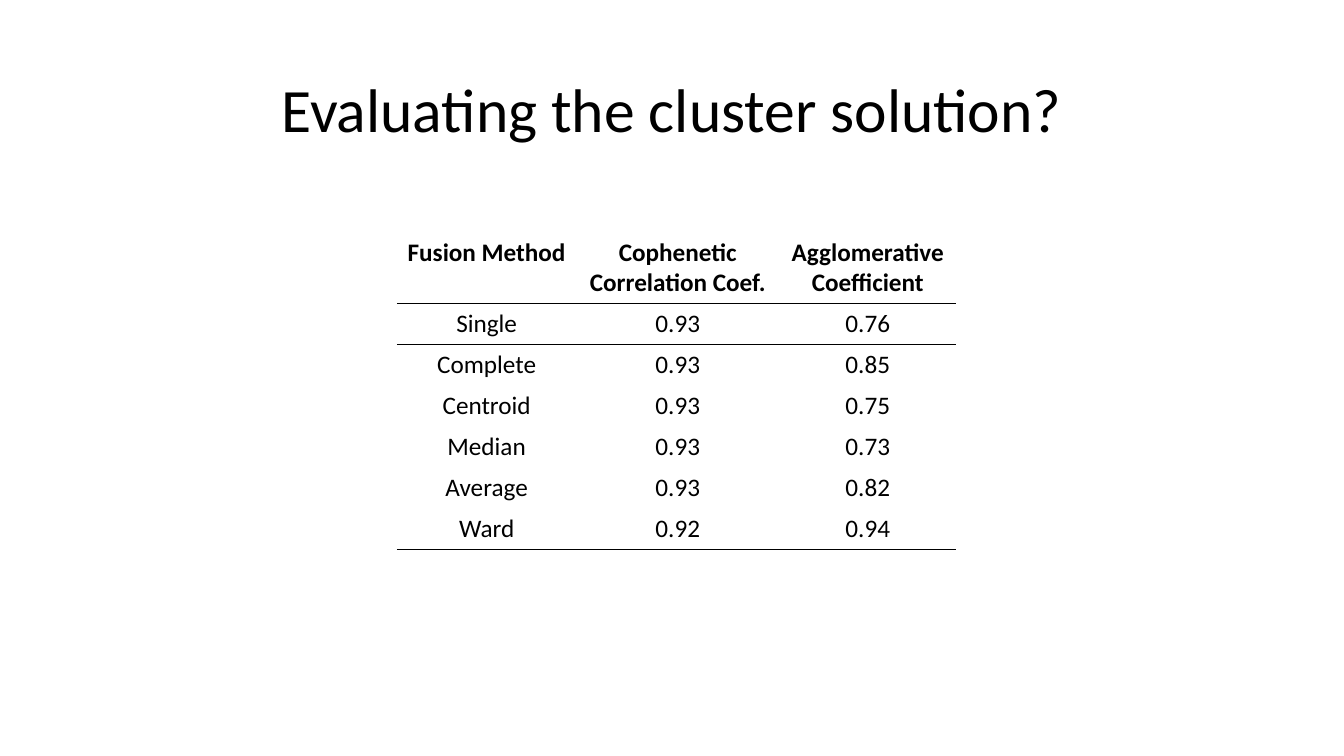
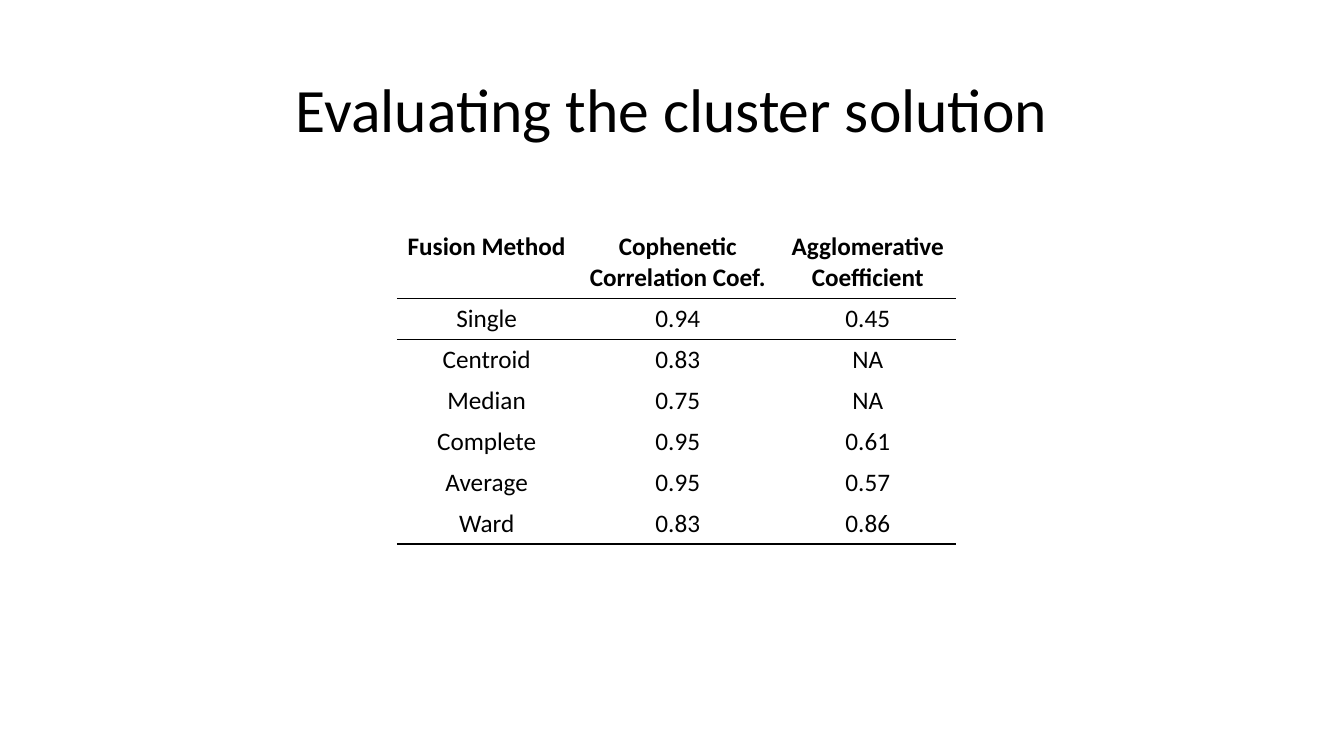
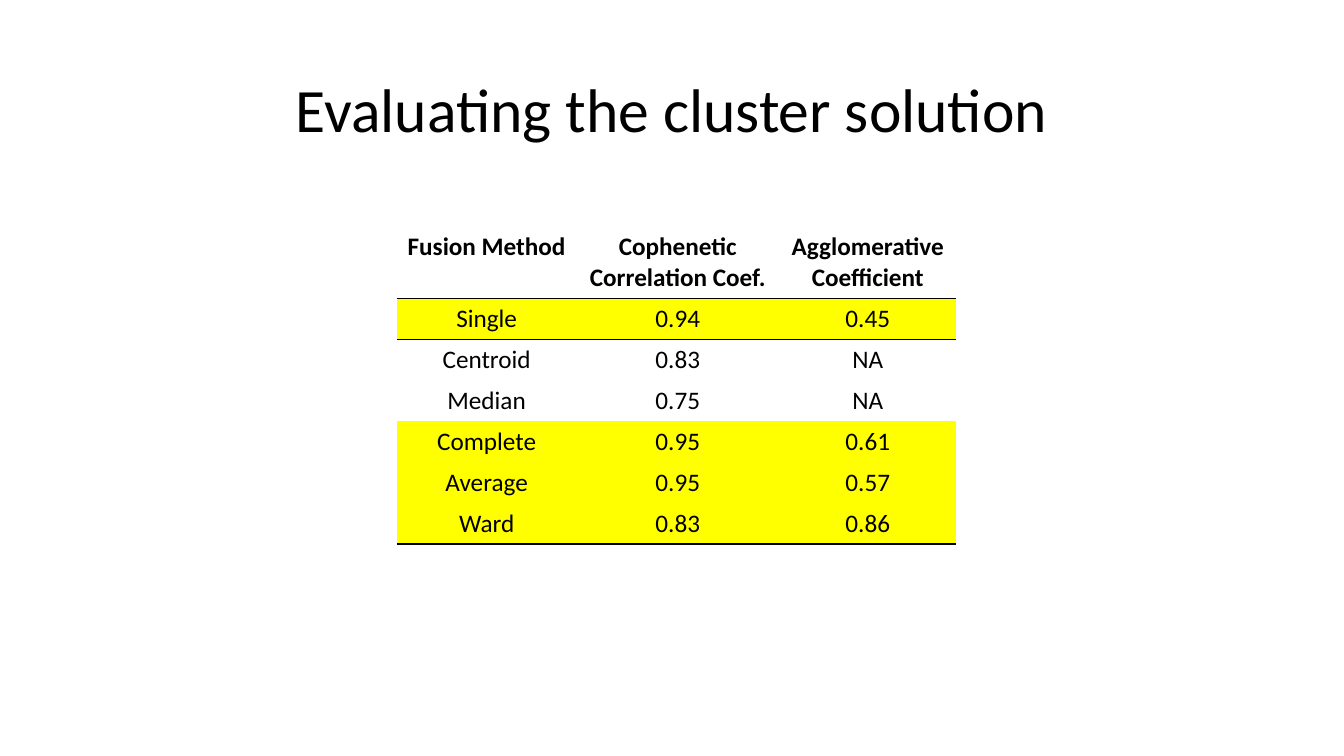
from lxml import etree
from pptx import Presentation
from pptx.dml.color import RGBColor
from pptx.enum.text import MSO_ANCHOR, PP_ALIGN
from pptx.oxml.ns import qn
from pptx.util import Pt

PX = 9525
CENTER = PP_ALIGN.CENTER
MIDDLE = MSO_ANCHOR.MIDDLE
FONT = "Calibri"
COLORS = {"text": "000000", "rule": "000000", "highlight": "FFFF00"}
NO_STYLE = "{2D5ABB26-0587-4C30-8999-92F81FD0307C}"
TITLE_ONLY = 5

TITLE_BOX = (88, 38, 1104, 139)
TABLE_LEFT = 378
COL_WIDTHS = (171, 193, 169)
HEADER_HEIGHT, ROW_HEIGHT = 68, 39

HEADER = ("Fusion Method", "Cophenetic Correlation Coef.",
          "Agglomerative Coefficient")
FIRST_RESULTS = (
    ("Single", "0.93", "0.76"),
    ("Complete", "0.93", "0.85"),
    ("Centroid", "0.93", "0.75"),
    ("Median", "0.93", "0.73"),
    ("Average", "0.93", "0.82"),
    ("Ward", "0.92", "0.94"),
)
SECOND_RESULTS = (
    ("Single", "0.94", "0.45"),
    ("Centroid", "0.83", "NA"),
    ("Median", "0.75", "NA"),
    ("Complete", "0.95", "0.61"),
    ("Average", "0.95", "0.57"),
    ("Ward", "0.83", "0.86"),
)


def px(n):
    return n * PX


def set_text(tf, text, size, bold=False, spacing=None):
    p = tf.paragraphs[0]
    p.alignment = CENTER
    p.line_spacing = spacing
    r = p.add_run()
    r.text = text
    r.font.name = FONT
    r.font.size = Pt(size)
    r.font.bold = bold
    r.font.color.rgb = RGBColor.from_string(COLORS["text"])


def add_bottom_rule(cell):
    ln = etree.Element(qn("a:lnB"), w=str(Pt(1)))
    fill = etree.SubElement(ln, qn("a:solidFill"))
    etree.SubElement(fill, qn("a:srgbClr"), val=COLORS["rule"])
    cell._tc.get_or_add_tcPr().insert(0, ln)


def place_layout_title(layout):
    """Put the title of the layout where every slide inherits it."""
    sp = layout.placeholders[0]
    sp.left, sp.top, sp.width, sp.height = map(px, TITLE_BOX)
    sp.text_frame.vertical_anchor = MIDDLE


def add_results_table(slide, results, top, highlighted):
    rows = (HEADER, *results)
    heights = [HEADER_HEIGHT] + [ROW_HEIGHT] * len(results)
    frame = slide.shapes.add_table(
        len(rows), len(HEADER), px(TABLE_LEFT), px(top),
        px(sum(COL_WIDTHS)), px(sum(heights)))
    table = frame.table
    table.horz_banding = table.first_row = False
    table._tbl.tblPr.find(qn("a:tableStyleId")).text = NO_STYLE
    for col, width in zip(table.columns, COL_WIDTHS):
        col.width = px(width)
    for row, height in zip(table.rows, heights):
        row.height = px(height)

    ruled = (0, 1, len(rows) - 1)
    for i, values in enumerate(rows):
        for j, value in enumerate(values):
            cell = table.cell(i, j)
            set_text(cell.text_frame, value, 18, bold=i == 0)
            if values[0] in highlighted:
                cell.fill.solid()
                cell.fill.fore_color.rgb = RGBColor.from_string(COLORS["highlight"])
            else:
                cell.fill.background()
            if i in ruled:
                add_bottom_rule(cell)


def add_results_slide(prs, title, results, top, highlighted=()):
    slide = prs.slides.add_slide(prs.slide_layouts[TITLE_ONLY])
    set_text(slide.shapes.title.text_frame, title, 44, spacing=0.9)
    add_results_table(slide, results, top, highlighted)


def main():
    prs = Presentation()
    prs.slide_width, prs.slide_height = px(1280), px(720)
    place_layout_title(prs.slide_layouts[TITLE_ONLY])

    title = "Evaluating the cluster solution"
    add_results_slide(prs, title + "?", FIRST_RESULTS, 221)
    add_results_slide(prs, title, SECOND_RESULTS, 216)
    add_results_slide(prs, title, SECOND_RESULTS, 216,
                      highlighted=("Single", "Complete", "Average", "Ward"))
    prs.save("out.pptx")


if __name__ == "__main__":
    main()
